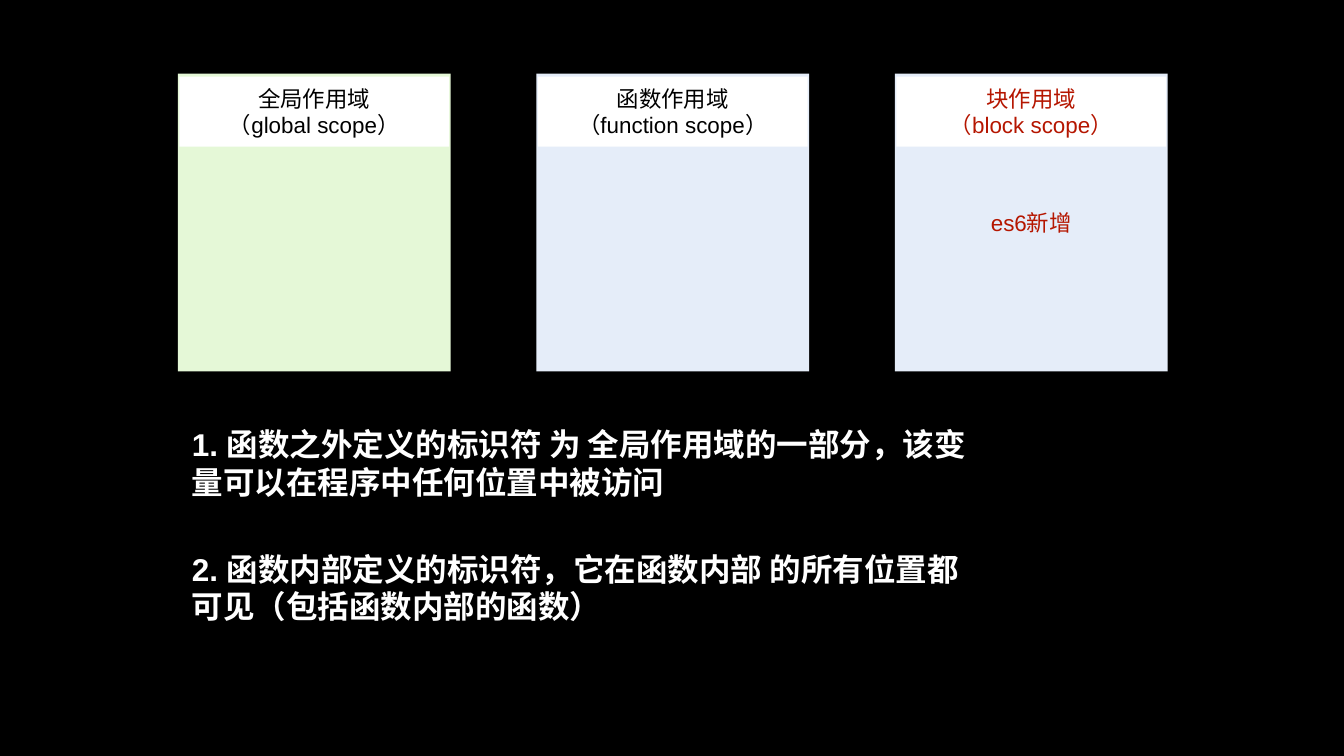
"""Build a slide on the three kinds of variable scope."""
import pptx
import pptx.util
import pptx.dml.color
import pptx.enum.shapes
import pptx.enum.text

Cm = pptx.util.Cm
HUES = {
    "black": "000000",
    "white": "FFFFFF",
    "green": "E5F8D7",
    "blue": "E5EDF9",
    "red": "B51600",
}
CARDS = [
    ("全局作用域", "（global scope）", "", "green", "black"),
    ("函数作用域", "（function scope）", "", "blue", "black"),
    ("块作用域", "（block scope）", "es6新增", "blue", "red"),
]
NOTES = [
    "1. 函数之外定义的标识符 为 全局作用域的一部分，该变量可以在程序中任何位置中被访问",
    "2. 函数内部定义的标识符，它在函数内部 的所有位置都可见（包括函数内部的函数）",
]


def paint(fill, hue):
    fill.solid()
    fill.fore_color.rgb = pptx.dml.color.RGBColor.from_string(HUES[hue])


def write(shape, *lines, size=32, hue="black", bold=False, align="CENTER", inset=0):
    frame = shape.text_frame
    frame.word_wrap = True
    frame.vertical_anchor = pptx.enum.text.MSO_ANCHOR.MIDDLE
    frame.margin_left = frame.margin_right = Cm(inset)
    frame.margin_top = frame.margin_bottom = Cm(inset)
    frame.text = "\n".join(lines)
    for para in frame.paragraphs:
        para.alignment = getattr(pptx.enum.text.PP_ALIGN, align)
        for run in para.runs:
            font = run.font
            font.name = "Arial"
            font.size = pptx.util.Pt(size)
            font.bold = bold
            font.color.rgb = pptx.dml.color.RGBColor.from_string(HUES[hue])


def add_box(slide, left, top, width, height, hue):
    kind = pptx.enum.shapes.MSO_SHAPE.RECTANGLE
    box = slide.shapes.add_shape(kind, Cm(left), Cm(top), Cm(width), Cm(height))
    box.shadow.inherit = False
    box.line.fill.background()
    paint(box.fill, hue)
    return box


def add_card(slide, left, title, name, note, fill, ink):
    body = add_box(slide, left, 3.71, 13.74, 15.01, fill)
    if note:
        write(body, note, hue=ink)
    head = add_box(slide, left + 0.07, 3.86, 13.6, 3.53, "white")
    write(head, title, name, hue=ink)


def add_note(slide, top, text):
    box = slide.shapes.add_textbox(Cm(9.52), Cm(top), Cm(40.23), Cm(4.78))
    write(box, text, size=45, hue="white", bold=True, align="LEFT", inset=0.15)
    box.text_frame.auto_size = pptx.enum.text.MSO_AUTO_SIZE.SHAPE_TO_FIT_TEXT


def main():
    deck = pptx.Presentation()
    deck.slide_width, deck.slide_height = Cm(67.74), Cm(38.1)
    slide = deck.slides.add_slide(deck.slide_layouts[6])
    paint(slide.background.fill, "black")
    for i, card in enumerate(CARDS):
        add_card(slide, 8.97 + 18.07 * i, *card)
    for i, text in enumerate(NOTES):
        add_note(slide, 20.96 + 6.25 * i, text)
    deck.save("out.pptx")


if __name__ == "__main__":
    main()
